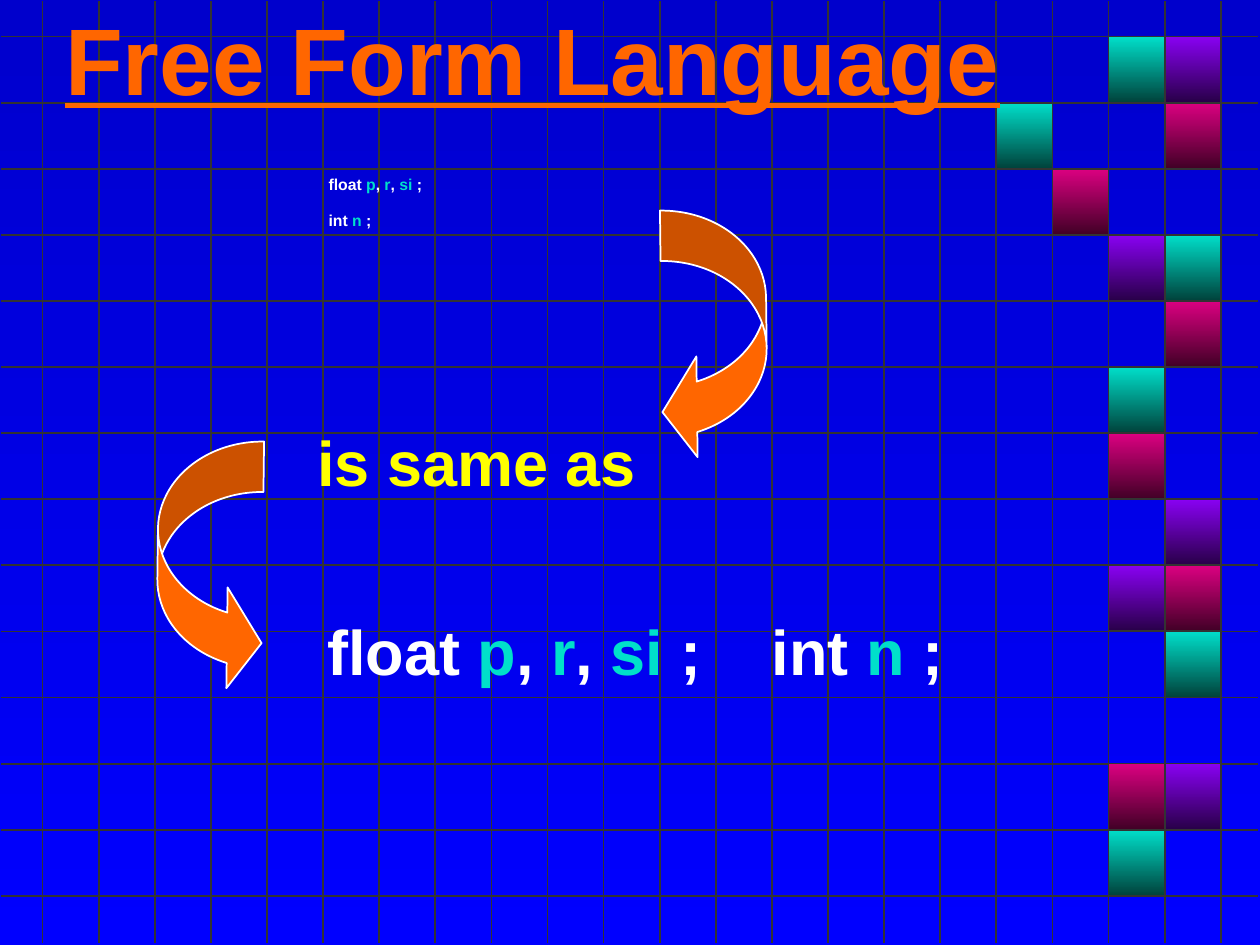
from pptx import Presentation
from pptx.dml.color import RGBColor
from pptx.enum.shapes import MSO_CONNECTOR, MSO_SHAPE
from pptx.enum.text import MSO_ANCHOR
from pptx.oxml.ns import qn
from pptx.util import Pt
from lxml import etree

LINE = MSO_CONNECTOR.STRAIGHT
RECT = MSO_SHAPE.RECTANGLE
RIGHT_ARROW = MSO_SHAPE.CURVED_RIGHT_ARROW
LEFT_ARROW = MSO_SHAPE.CURVED_LEFT_ARROW
TOP, MIDDLE = MSO_ANCHOR.TOP, MSO_ANCHOR.MIDDLE
rgb = RGBColor.from_string
WHITE, ORANGE, YELLOW, CYAN, GRAY = "FFFFFF", "FF6600", "FFFF00", "00DFCA", "333333"


def set_gradient(fill, colors):
    fill.gradient()
    fill.gradient_angle = 270
    for stop, color in zip(fill.gradient_stops, colors):
        stop.color.rgb = rgb(color)


def add_text(box, paragraphs, size, color=WHITE, underline=None, anchor=TOP,
             indent=0, before=0, tab=None):
    tf = s.shapes.add_textbox(*map(Pt, box)).text_frame
    tf.word_wrap = True
    tf.vertical_anchor = anchor
    for i, runs in enumerate(paragraphs):
        p = tf.paragraphs[0] if i == 0 else tf.add_paragraph()
        p.space_before = Pt(before)
        pPr = p._p.get_or_add_pPr()
        pPr.set("marL", str(Pt(indent)))
        if tab:
            tabs = etree.SubElement(pPr, qn("a:tabLst"))
            etree.SubElement(tabs, qn("a:tab"), pos=str(Pt(tab)), algn="l")
        for text in runs:
            r = p.add_run()
            r.text = text
            r.font.name = "Arial"
            r.font.size = Pt(size)
            r.font.bold = True
            r.font.underline = underline
            r.font.color.rgb = rgb(CYAN if text in variables else color)


prs = Presentation()
prs.slide_width, prs.slide_height = Pt(720), Pt(540)
s = prs.slides.add_slide(prs.slide_layouts[6])
set_gradient(s.background.fill, ("0000CC", "0000FF"))

left, top, cell_w, cell_h = 24.34, 20.9, 32.06, 37.77
rows = [top + cell_h * i for i in range(14)]
cols = [left + cell_w * i for i in range(22)]
grid = [(0.7, y, 718.6, y) for y in rows] + [(x, 0.7, x, 538.6) for x in cols]
for ends in grid:
    line = s.shapes.add_connector(LINE, *map(Pt, ends))
    line.line.color.rgb = rgb(GRAY)
    line.line.width = Pt(1)
    etree.SubElement(line._element.spPr, qn("a:effectLst"))

tiles = {
    (CYAN, "00423B"): [(19, 0), (17, 1), (20, 4), (19, 6), (20, 10), (19, 13 - 1)],
    ("8901F3", "280048"): [(20, 0), (19, 3), (20, 7), (19, 8), (20, 11)],
    ("DC0081", "410026"): [(20, 1), (18, 2), (20, 4), (19, 6), (20, 8), (19, 11)],
}
tiles[(CYAN, "00423B")] = [(19, 0), (17, 1), (20, 3), (19, 5), (20, 9), (19, 12)]
for colors, cells in tiles.items():
    for col, row in cells:
        tile = s.shapes.add_shape(RECT, Pt(cols[col]), Pt(rows[row]), Pt(cell_w), Pt(cell_h))
        tile.shadow.inherit = False
        set_gradient(tile.fill, colors)
        tile.line.color.rgb = rgb(GRAY)
        tile.line.width = Pt(1)

variables = {"p", "r", "si", "n"}
floats = ["float ", "p", ", ", "r", ", ", "si", " ;"]
ints = ["int ", "n", " ;"]
add_text((30.2, -12.2, 612, 90.7), [["Free Form Language"]], 54, ORANGE,
         underline=True, anchor=MIDDLE)
add_text((10.1, 96.5, 612, 89.3), [floats, ints], 9, indent=170.6, before=9.5)
add_text((174.2, 238.3, 202, 50.4), [["is same as"]], 36, YELLOW)
add_text((180, 346.3, 372, 50.4), [floats + ["\t"] + ints], 36, tab=254)

for kind, x, y, angle in ((RIGHT_ARROW, 90, 252, 0.7), (LEFT_ARROW, 378, 120, -0.7)):
    arrow = s.shapes.add_shape(kind, Pt(x), Pt(y), Pt(60), Pt(144))
    arrow.shadow.inherit = False
    arrow.rotation = angle
    for i, value in enumerate((0.48, 0.96, 0.33)):
        arrow.adjustments[i] = value
    arrow.fill.solid()
    arrow.fill.fore_color.rgb = rgb(ORANGE)
    arrow.line.color.rgb = rgb(WHITE)
    arrow.line.width = Pt(1)

prs.save("out.pptx")
